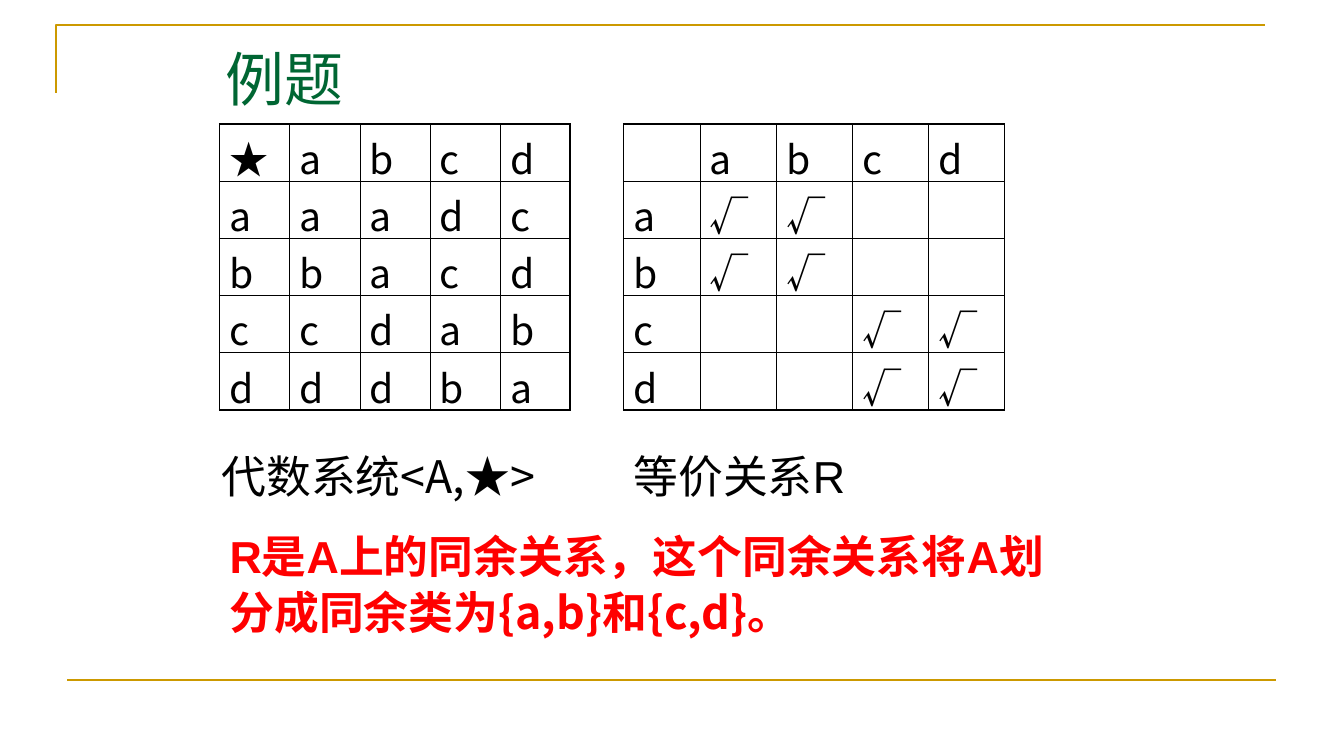
"""Build the slide on a congruence relation with its two tables."""
from dataclasses import dataclass

from lxml import etree
from pptx import Presentation
from pptx import util as u
from pptx.dml.color import RGBColor
from pptx.enum import shapes, text
from pptx.oxml import ns


@dataclass(frozen=True)
class Theme:
    """Colours, fonts and type sizes of the slide."""
    gold: str = "CC9900"
    green: str = "006633"
    red: str = "FF0000"
    black: str = "000000"
    latin: str = "Arial"
    serif: str = "Times New Roman"
    cjk: str = "Noto Sans CJK SC"
    title: int = 42
    body: int = 32
    cell: int = 28
    rule: float = 1.5
    outer: float = 1.08
    inner: float = 0.45


T = Theme()
OPERATION = ["★abcd", "aaadc", "bbacd", "ccdab", "dddba"]
RELATION = [" abcd", "a√√  ", "b√√  ", "c  √√", "d  √√"]


def sub(parent, tag, **attrs):
    """Add a DrawingML child element and return it."""
    return etree.SubElement(parent, ns.qn(tag), attrs)


def add_run(p, words, color, **fmt):
    """Add a run with the given font values and the East Asian font."""
    r = p.add_run()
    r.text = words
    for name, value in fmt.items():
        setattr(r.font, name, value)
    r.font.color.rgb = RGBColor.from_string(color)
    sub(r.font._element, "a:ea", typeface=T.cjk)


def style_line(sp):
    """Give a shape or connector the gold rule."""
    sp.line.color.rgb = RGBColor.from_string(T.gold)
    sp.line.width = u.Pt(T.rule)


def add_corner(s, left, top, right, bottom):
    """Draw the open corner rule at the top left."""
    points = [(u.Inches(x), u.Inches(y)) for x, y in ((left, bottom), (left, top), (right, top))]
    builder = s.shapes.build_freeform(*points[0], scale=1.0)
    builder.add_line_segments(points[1:], close=False)
    sp = builder.convert_to_shape()
    sp.fill.background()
    sp.shadow.inherit = False
    style_line(sp)


def add_rule(s, left, right, y):
    """Draw a horizontal rule."""
    ends = [u.Inches(v) for v in (left, y, right, y)]
    sp = s.shapes.add_connector(shapes.MSO_CONNECTOR.STRAIGHT, *ends)
    style_line(sp)
    sub(sp._element.spPr, "a:effectLst")


def add_text(s, box, runs, size, leading, color, bold=False):
    """Add a wrapped text box of one paragraph from (words, font) pairs."""
    tf = s.shapes.add_textbox(*(u.Inches(v) for v in box)).text_frame
    frame = {"word_wrap": True, "vertical_anchor": text.MSO_ANCHOR.TOP}
    for name, value in frame.items():
        setattr(tf, name, value)
    p = tf.paragraphs[0]
    p.line_spacing = u.Pt(leading)
    for words, font in runs:
        add_run(p, words, color, size=u.Pt(size), name=font, bold=bold)


def set_borders(cell, edges):
    """Draw the four cell borders, thicker on the table's outer edges."""
    tc_pr = cell._tc.get_or_add_tcPr()
    for side, is_outer in edges.items():
        width = u.Pt(T.outer if is_outer else T.inner)
        ln = sub(tc_pr, f"a:ln{side}", w=str(int(width)))
        sub(sub(ln, "a:solidFill"), "a:srgbClr", val=T.black)


def add_grid(s, box, rows):
    """Add a table with equal columns and rows, one character per cell."""
    n = len(rows)
    left, top, width, height = box
    table = s.shapes.add_table(n, n, *(u.Inches(v) for v in box)).table
    for name in ("first_row", "horz_banding"):
        setattr(table, name, False)
    for i, row in enumerate(rows):
        table.rows[i].height = u.Inches(height / n)
        table.columns[i].width = u.Inches(width / n)
        for j, mark in enumerate(row):
            cell = table.cell(i, j)
            set_borders(cell, {"L": j == 0, "R": j == n - 1, "T": i == 0, "B": i == n - 1})
            cell.fill.background()
            if mark.strip():
                add_run(cell.text_frame.paragraphs[0], mark, T.black,
                        size=u.Pt(T.cell), name=T.cjk)


def main():
    """Build and save the slide."""
    prs = Presentation()
    prs.slide_width, prs.slide_height = u.Inches(13.34), u.Inches(7.5)
    s = prs.slides.add_slide(prs.slide_layouts[6])
    add_corner(s, 0.56, 0.25, 12.56, 0.92)
    add_rule(s, 0.67, 12.67, 6.75)
    add_text(s, (2.14, 0.31, 9, 1.25), [("例题", T.serif)], T.title, 55, T.green)
    add_grid(s, (2.18, 1.23, 3.48, 2.83), OPERATION)
    add_grid(s, (6.19, 1.23, 3.78, 2.83), RELATION)
    add_text(s, (2.1, 4.38, 3.62, 0.64), [("代数系统", T.latin), ("<A,★>", T.cjk)],
             T.body, 40, T.black)
    add_text(s, (6.19, 4.38, 3.86, 0.64), [("等价关系R", T.latin)], T.body, 40, T.black)
    conclusion = [("R是A上的同余关系，这个同余关系将A划分成同余类为", T.latin),
                  ("{a,b}和{c,d}", T.cjk), ("。", T.latin)]
    add_text(s, (2.18, 5.17, 8.43, 1.17), conclusion, T.body, 40, T.red, bold=True)
    prs.save("out.pptx")


if __name__ == "__main__":
    main()
